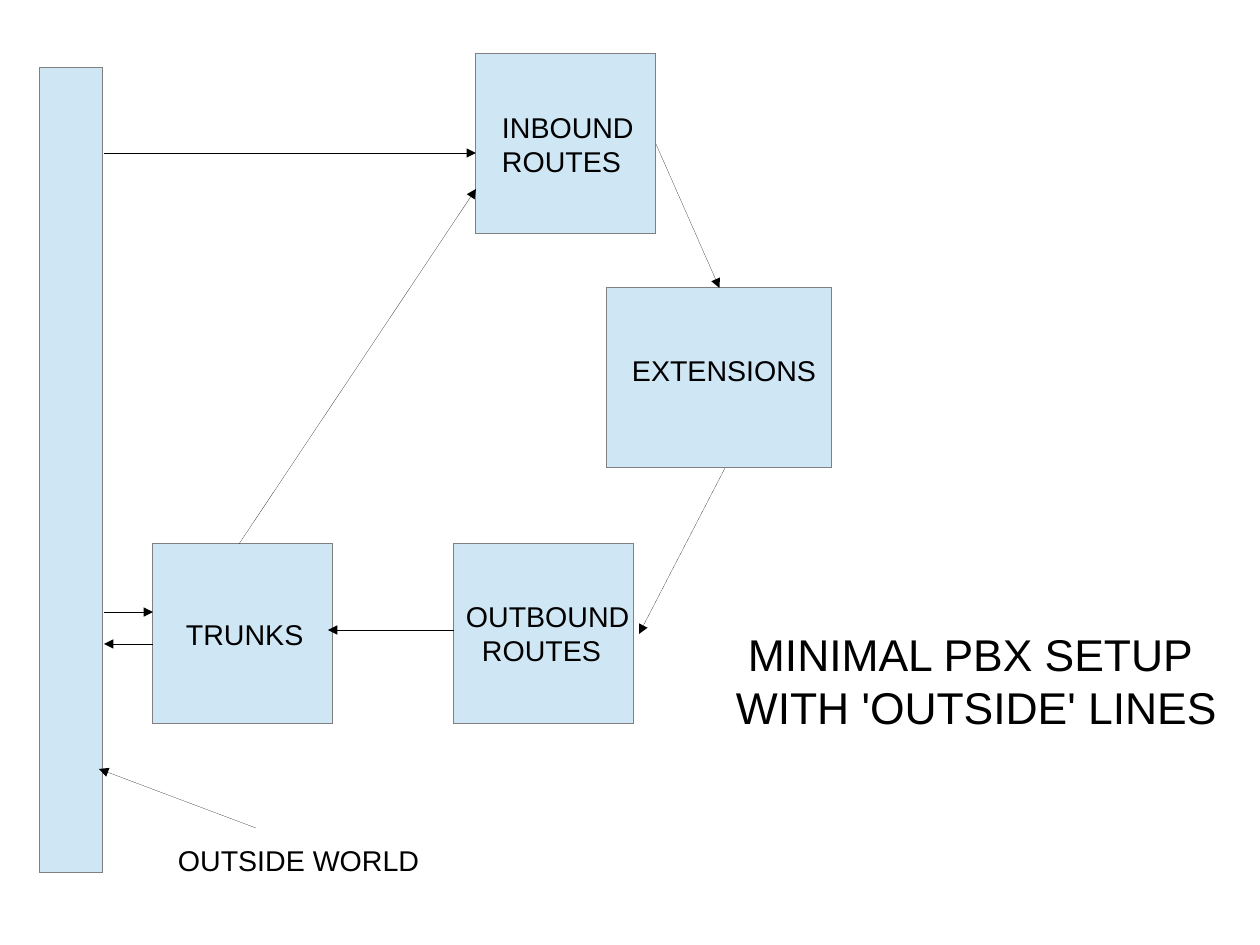
from lxml import etree
from pptx import Presentation
from pptx.dml.color import RGBColor
from pptx.enum.shapes import MSO_CONNECTOR, MSO_SHAPE
from pptx.enum.text import MSO_ANCHOR, MSO_AUTO_SIZE, PP_ALIGN
from pptx.oxml.ns import qn
from pptx.util import Emu, Pt

STRAIGHT = MSO_CONNECTOR.STRAIGHT
RECTANGLE = MSO_SHAPE.RECTANGLE
TOP_ANCHOR = MSO_ANCHOR.TOP
FIT_TEXT = MSO_AUTO_SIZE.SHAPE_TO_FIT_TEXT
FIXED_SIZE = MSO_AUTO_SIZE.NONE
LEFT_ALIGN = PP_ALIGN.LEFT
TOP, RIGHT = 0, 3

BLACK = RGBColor(0x00, 0x00, 0x00)
GREY = RGBColor(0x80, 0x80, 0x80)
PALE_BLUE = RGBColor(0xCF, 0xE7, 0xF5)
FONT = "Arial"
EMU_PER_PX = 8000


def px(length):
    """Turn a length in px into EMU."""
    return Emu(length * EMU_PER_PX)


def write_lines(frame, lines, size, insets):
    """Write (text, indent) lines, one paragraph each, from the top left."""
    frame.vertical_anchor = TOP_ANCHOR
    frame.margin_left, frame.margin_top, frame.margin_right, frame.margin_bottom = map(px, insets)
    for index, (text, indent) in enumerate(lines):
        paragraph = frame.add_paragraph() if index else frame.paragraphs[0]
        paragraph.alignment = LEFT_ALIGN
        paragraph._p.get_or_add_pPr().set("marL", str(px(indent)))
        run = paragraph.add_run()
        run.text = text
        run.font.name = FONT
        run.font.size = Pt(size)
        run.font.color.rgb = BLACK


def set_hairline(line, color):
    """Give a line its colour and the thinnest width; returns its element."""
    line.color.rgb = color
    element = line._get_or_add_ln()
    element.set("w", "0")
    return element


def add_block(slide, box, lines=(), inset=(0, 0)):
    """Add a pale rectangle whose label starts at the inset from its corner."""
    block = slide.shapes.add_shape(RECTANGLE, *map(px, box))
    block.shadow.inherit = False
    block.fill.solid()
    block.fill.fore_color.rgb = PALE_BLUE
    set_hairline(block.line, GREY)
    block.text_frame.word_wrap = True
    write_lines(block.text_frame, lines, 18, (*inset, 0, 0))
    return block


def add_arrow(slide, start, end):
    """Draw an arrow from one (x, y) point to another."""
    arrow = slide.shapes.add_connector(STRAIGHT, *map(px, (*start, *end)))
    outline = set_hairline(arrow.line, BLACK)
    etree.SubElement(outline, qn("a:tailEnd"), type="triangle")
    etree.SubElement(arrow._element.spPr, qn("a:effectLst"))
    return arrow


def add_title(slide, box):
    """Place the two-line heading in the title placeholder."""
    title = slide.shapes.title
    title.left, title.top, title.width, title.height = map(px, box)
    title.text_frame.word_wrap = True
    title.text_frame.auto_size = FIXED_SIZE
    lines = [("MINIMAL PBX SETUP", 12), ("WITH 'OUTSIDE' LINES", 0)]
    write_lines(title.text_frame, lines, 28, (11, 6, 0, 6))


def add_outside_label(slide, box):
    """Name the outside world below the diagram."""
    label = slide.shapes.add_textbox(*map(px, box))
    label.text_frame.word_wrap = False
    label.text_frame.auto_size = FIT_TEXT
    write_lines(label.text_frame, [("OUTSIDE WORLD", 0)], 18, (11, 6, 11, 6))


def add_call_flow(slide, box):
    """Draw the blocks of the exchange and the arrows between them."""
    left, top, width, height = box
    side = 180
    world_width = 63
    world_right = left + world_width + 1
    trunks_left, outbound_left = left + 113, left + 414
    inbound_left, extensions_left = left + 436, left + 567
    extensions_top, lower_top = top + 234, top + 490

    extensions = add_block(slide, (extensions_left, extensions_top, width - 567, side),
                           [("EXTENSIONS", 0)], (25, 65))
    add_block(slide, (trunks_left, lower_top, side, side), [("TRUNKS", 0)], (33, 73))
    add_block(slide, (left, top + 14, world_width, height - 14))
    add_block(slide, (outbound_left, lower_top, side, side),
              [("OUTBOUND", 0), ("ROUTES", 16)], (12, 55))
    inbound = add_block(slide, (inbound_left, top, side, side),
                        [("INBOUND", 0), ("ROUTES", 0)], (26, 56))

    answered = add_arrow(slide, (inbound_left + side, top + side // 2),
                         (extensions_left + 113, extensions_top))
    answered.begin_connect(inbound, RIGHT)
    answered.end_connect(extensions, TOP)

    arrows = [
        ((extensions_left + 118, extensions_top + side), (outbound_left + 185, lower_top + 90)),
        ((outbound_left, lower_top + 86), (trunks_left + 175, lower_top + 86)),
        ((world_right, top + 99), (inbound_left, top + 99)),
        ((world_right, lower_top + 68), (trunks_left, lower_top + 68)),
        ((trunks_left, lower_top + 100), (world_right, lower_top + 100)),
        ((trunks_left + 86, lower_top), (inbound_left, top + 135)),
        ((left + 216, top + 774), (left + 59, top + 715)),
    ]
    for start, end in arrows:
        add_arrow(slide, start, end)


def main():
    """Build the slide and save it."""
    deck = Presentation()
    deck.slide_width, deck.slide_height = px(1260), px(945)
    slide = deck.slides.add_slide(deck.slide_layouts[5])
    add_call_flow(slide, (40, 54, 792, 819))
    add_outside_label(slide, (167, 837, 264, 43))
    add_title(slide, (725, 621, 503, 111))
    deck.save("out.pptx")


if __name__ == "__main__":
    main()
